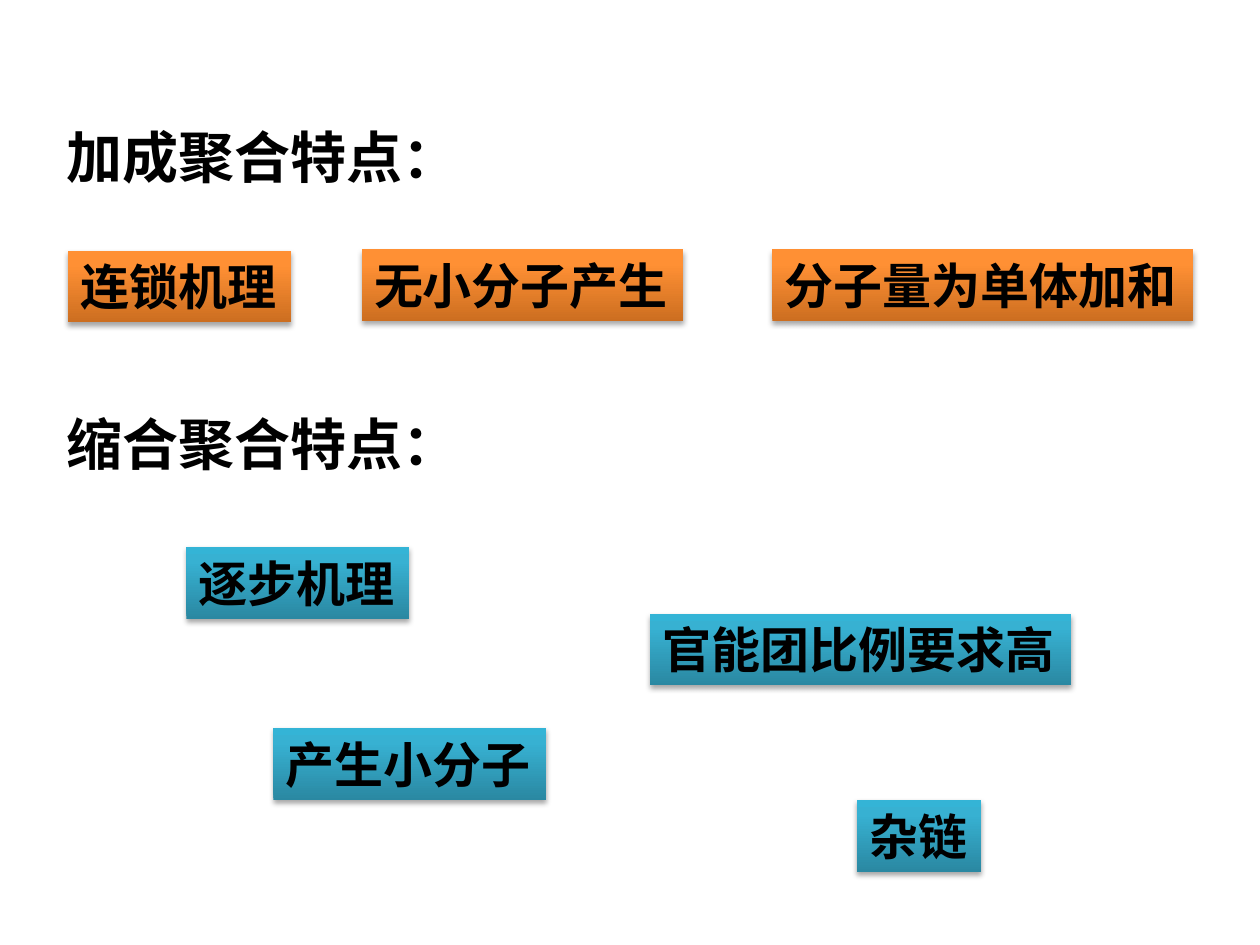
from pptx import Presentation
from pptx.dml.color import RGBColor
from pptx.enum.shapes import MSO_SHAPE
from pptx.enum.text import MSO_ANCHOR, MSO_AUTO_SIZE, PP_ALIGN
from pptx.oxml import parse_xml
from pptx.oxml.ns import nsdecls
from pptx.util import Inches, Pt

FONT = "Noto Sans CJK SC"
COLORS = {"text": "000000", "shadow": "000000"}
GRADIENTS = {
    "orange": {0: "CC6E20", 80: "FF9034", 100: "FF9136"},
    "blue": {0: "2A88A2", 80: "37B1D2", 100: "34B4D6"},
}
HEADINGS = [("加成聚合特点：", 0.43, 0.92), ("缩合聚合特点：", 0.43, 3.2)]
LABELS = {
    "orange": [
        ("连锁机理", 0.54, 1.99),
        ("无小分子产生", 2.87, 1.98),
        ("分子量为单体加和", 6.13, 1.98),
    ],
    "blue": [
        ("逐步机理", 1.48, 4.34),
        ("产生小分子", 2.17, 5.78),
        ("官能团比例要求高", 5.16, 4.87),
        ("杂链", 6.8, 6.35),
    ],
}
HEADING_SIZE, LABEL_SIZE = 32, 28
HEADING_HEIGHT, LABEL_HEIGHT = 0.64, 0.57
PADDING = 0.2
CHARACTERS_PER_INCH = 71.34


def frame(text, left, top, size, height):
    width = PADDING + len(text) * size / CHARACTERS_PER_INCH
    return [Inches(length) for length in (left, top, width, height)]


def write(shape, text, size):
    text_frame = shape.text_frame
    text_frame.word_wrap = False
    text_frame.auto_size = MSO_AUTO_SIZE.SHAPE_TO_FIT_TEXT
    text_frame.vertical_anchor = MSO_ANCHOR.TOP
    paragraph = text_frame.paragraphs[0]
    paragraph.text = text
    paragraph.alignment = PP_ALIGN.LEFT
    for font in (paragraph.font, paragraph.runs[0].font):
        font.name = FONT
        font.size = Pt(size)
        font.bold = True
        font.color.rgb = RGBColor.from_string(COLORS["text"])
    for latin in list(paragraph._p.iter("{*}latin")):
        latin.addnext(parse_xml(f'<a:ea {nsdecls("a")} typeface="{FONT}"/>'))


def fill_gradient(shape, stops):
    shape.fill.gradient()
    shape.fill.gradient_angle = 90
    stop_list = shape._element.spPr.find(".//{*}gsLst")
    stop_list.clear()
    for position, color in stops.items():
        stop_list.append(parse_xml(
            f'<a:gs {nsdecls("a")} pos="{position * 1000}">'
            f'<a:srgbClr val="{color}"/></a:gs>'
        ))


def add_shadow(shape):
    shape.shadow.inherit = False
    shape._element.spPr.find("{*}effectLst").append(parse_xml(
        f'<a:outerShdw {nsdecls("a")} blurRad="{Pt(3.1)}" dist="{Pt(1.8)}" '
        f'dir="5400000" rotWithShape="0"><a:srgbClr val="{COLORS["shadow"]}">'
        '<a:alpha val="35000"/></a:srgbClr></a:outerShdw>'
    ))


def main():
    presentation = Presentation()
    presentation.slide_width = Inches(10)
    presentation.slide_height = Inches(7.5)
    slide = presentation.slides.add_slide(presentation.slide_layouts[6])
    for text, left, top in HEADINGS:
        heading = slide.shapes.add_textbox(
            *frame(text, left, top, HEADING_SIZE, HEADING_HEIGHT))
        write(heading, text, HEADING_SIZE)
    for color, labels in LABELS.items():
        for text, left, top in labels:
            label = slide.shapes.add_shape(
                MSO_SHAPE.RECTANGLE,
                *frame(text, left, top, LABEL_SIZE, LABEL_HEIGHT))
            fill_gradient(label, GRADIENTS[color])
            label.line.fill.background()
            add_shadow(label)
            write(label, text, LABEL_SIZE)
    presentation.save("out.pptx")


if __name__ == "__main__":
    main()
